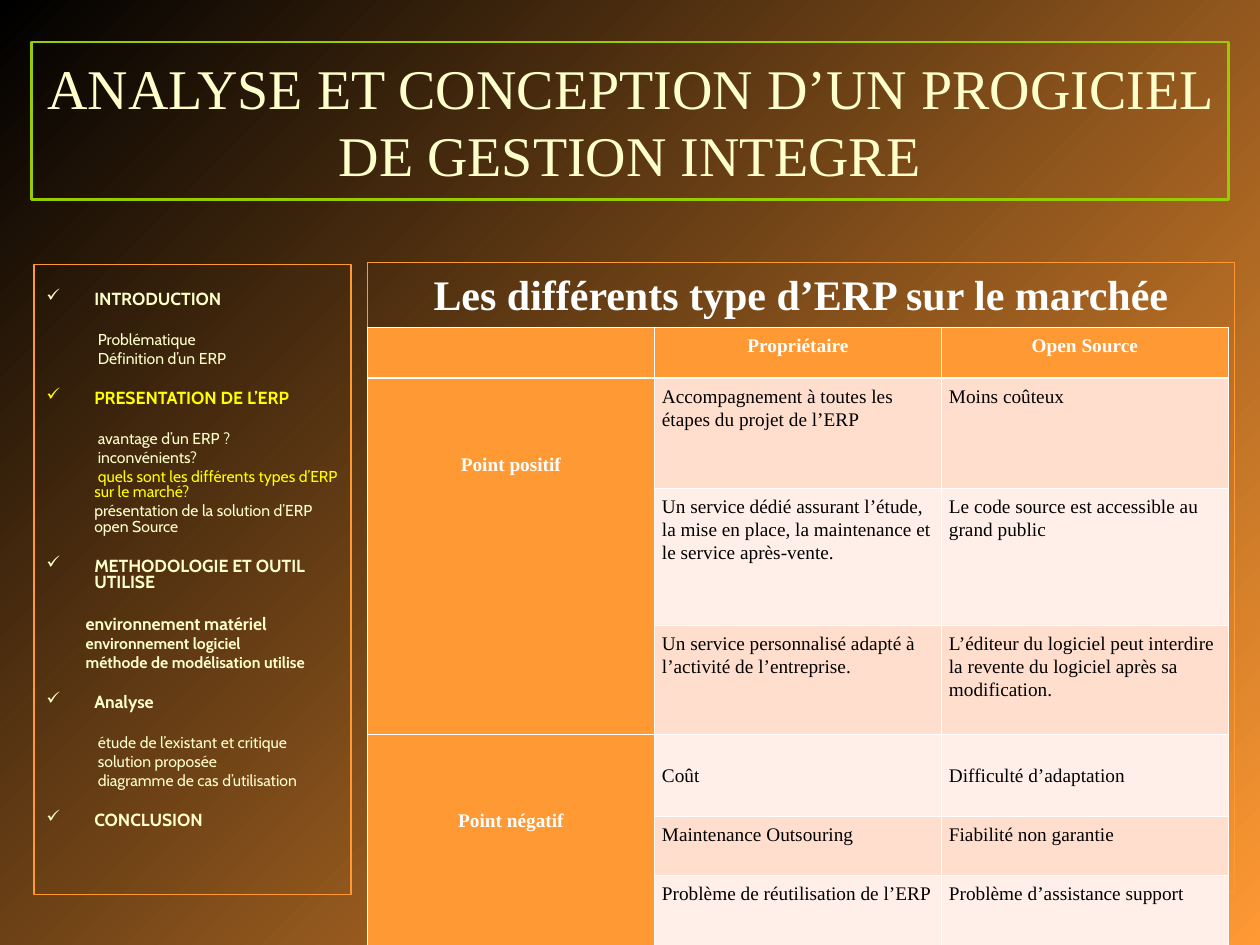
from lxml import etree
from pptx import Presentation
from pptx.dml.color import RGBColor
from pptx.enum.text import MSO_ANCHOR, MSO_AUTO_SIZE, PP_ALIGN
from pptx.oxml.ns import qn
from pptx.util import Pt

CENTER, LEFT = PP_ALIGN.CENTER, PP_ALIGN.LEFT
TOP, MIDDLE = MSO_ANCHOR.TOP, MSO_ANCHOR.MIDDLE
SERIF, SANS = "Times New Roman", "Cabin"
ORANGE, GREEN, CREAM = "FF9933", "99CC00", "FFFFCC"
YELLOW, WHITE, BLACK = "FFFF00", "FFFFFF", "000000"
BANDS = ("FFDECD", "FFEFE8")

TITLE = "ANALYSE ET CONCEPTION D’UN PROGICIEL DE GESTION INTEGRE"
HEADING = "Les différents type d’ERP sur le marchée"

# Outline entries: heading, heading colour, sub-items as (text, format)
HANG = 27.4
ITEM = {"size": 9, "first": 2}
TOOL = {"size": 9, "bold": True, "indent": 22.5}
OUTLINE = [
    ("INTRODUCTION", CREAM, [
        ("Problématique", ITEM),
        ("Définition d’un ERP", ITEM)]),
    ("PRESENTATION DE L’ERP", YELLOW, [
        ("avantage d’un ERP ?", ITEM),
        ("inconvénients?", ITEM),
        ("quels sont les différents types d’ERP sur le marché?",
         {**ITEM, "color": YELLOW}),
        ("présentation de la solution d’ERP open Source", {"size": 9})]),
    ("METHODOLOGIE ET OUTIL UTILISE", CREAM, [
        ("environnement matériel", {**TOOL, "size": 10}),
        ("environnement logiciel", TOOL),
        ("méthode de modélisation utilise", TOOL)]),
    ("Analyse", CREAM, [
        ("étude de l’existant et critique", ITEM),
        ("solution proposée", ITEM),
        ("diagramme de cas d’utilisation", ITEM)]),
    ("CONCLUSION", CREAM, []),
]

COLUMNS = ("Propriétaire", "Open Source")
GROUPS = [
    ("Point positif", [
        ("Accompagnement à toutes les étapes du projet de l’ERP",
         "Moins coûteux"),
        ("Un service dédié assurant l’étude, la mise en place, "
         "la maintenance et le service après-vente.",
         "Le code source est accessible au grand public"),
        ("Un service personnalisé adapté à l’activité de l’entreprise.",
         "L’éditeur du logiciel peut interdire la revente du logiciel "
         "après sa modification.")]),
    ("Point négatif", [
        ("Coût", "Difficulté d’adaptation"),
        ("Maintenance Outsouring", "Fiabilité non garantie"),
        ("Problème de réutilisation de l’ERP",
         "Problème d’assistance support")]),
]
ROW_HEIGHTS = (20, 62.8, 78.4, 62.4, 46.8, 33.6, 46.8)
COLUMN_WIDTH = 164
LINE = 13  # one line of table text
LOWERED = {"Point positif": 3, "Point négatif": 3,
           "Coût": 1, "Difficulté d’adaptation": 1}  # lines below cell top


def rgb(value):
    return RGBColor.from_string(value)


def add_text(frame, text, size, color, font=SERIF, bold=False, align=LEFT,
             before=0, spacing=1.0, indent=0, first=0, bullet=None):
    """Fill the empty first paragraph of the frame, or append a new one."""
    para = frame.paragraphs[0]
    if para.runs:
        para = frame.add_paragraph()
    para.alignment = align
    para.space_before = Pt(before)
    para.line_spacing = spacing
    props = para._p.get_or_add_pPr()
    props.set("marL", str(Pt(indent)))
    props.set("indent", str(Pt(first)))
    if bullet:
        etree.SubElement(props, qn("a:buChar")).set("char", bullet)
    else:
        etree.SubElement(props, qn("a:buNone"))
    span = para.add_run()
    span.text = text
    span.font.name = font
    span.font.size = Pt(size)
    span.font.bold = bold
    span.font.color.rgb = rgb(color)


def set_frame(box, left, top, width, height, color, weight, anchor=TOP):
    """Place and outline a text shape; return its text frame."""
    box.left, box.top = Pt(left), Pt(top)
    box.width, box.height = Pt(width), Pt(height)
    box.line.color.rgb = rgb(color)
    box.line.width = Pt(weight)
    frame = box.text_frame
    frame.word_wrap = True
    frame.auto_size = MSO_AUTO_SIZE.NONE
    frame.vertical_anchor = anchor
    return frame


def set_borders(cell, **weights):
    props = cell._tc.get_or_add_tcPr()
    for index, side in enumerate("LRTB"):
        line = etree.Element(qn("a:ln" + side))
        line.set("w", str(Pt(weights.get(side, 0.45))))
        fill = etree.SubElement(line, qn("a:solidFill"))
        etree.SubElement(fill, qn("a:srgbClr")).set("val", WHITE)
        props.insert(index, line)


def fill_cell(cell, text, fill, color=BLACK, bold=False, align=LEFT):
    cell.fill.solid()
    cell.fill.fore_color.rgb = rgb(fill)
    cell.margin_left = cell.margin_right = Pt(4.3)
    cell.margin_top = Pt(3.6 + LINE * LOWERED.get(text, 0))
    cell.margin_bottom = Pt(3.6)
    if text:
        add_text(cell.text_frame, text, 11, color, bold=bold, align=align,
                 spacing=1.07)


def add_outline(page):
    box = page.shapes.add_textbox(0, 0, 0, 0)
    frame = set_frame(box, 19.4, 151.2, 181.4, 360, ORANGE, 1)
    frame.margin_top = Pt(15.8)
    for number, (heading, color, items) in enumerate(OUTLINE):
        add_text(frame, heading, 10, color, SANS, bold=True, spacing=0.8,
                 before=13.4 if number else 2.5,
                 indent=HANG, first=-HANG, bullet="✓")
        for position, (text, style) in enumerate(items):
            look = {"color": CREAM, "indent": HANG, **style}
            add_text(frame, text, font=SANS, spacing=0.8,
                     before=2.2 if position else 14, **look)


def add_comparison(page):
    table = page.shapes.add_table(
        len(ROW_HEIGHTS), 3, Pt(210), Pt(187), Pt(3 * COLUMN_WIDTH),
        Pt(sum(ROW_HEIGHTS))).table
    for column in table.columns:
        column.width = Pt(COLUMN_WIDTH)
    for row, height in zip(table.rows, ROW_HEIGHTS):
        row.height = Pt(height)

    label = {"fill": ORANGE, "color": WHITE, "bold": True, "align": CENTER}
    for column, text in enumerate(("",) + COLUMNS):
        fill_cell(table.cell(0, column), text, **label)
    row = 1
    for name, points in GROUPS:
        last = row + len(points) - 1
        table.cell(row, 0).merge(table.cell(last, 0))
        fill_cell(table.cell(row, 0), name, **label)
        for pair in points:
            for column, text in enumerate(pair, start=1):
                fill_cell(table.cell(row, column), text, BANDS[(row - 1) % 2])
            row += 1

    heavy = ({"B": 1.47}, {"T": 1.47})  # rule under the header
    for index in range(len(ROW_HEIGHTS)):
        for column in range(3):
            set_borders(table.cell(index, column),
                        **(heavy[index] if index < 2 else {}))


def main():
    deck = Presentation()
    deck.slide_width, deck.slide_height = Pt(720), Pt(540)
    page = deck.slides.add_slide(deck.slide_layouts[1])

    backdrop = page.background.fill
    backdrop.gradient()
    backdrop.gradient_angle = 315
    for stop, color in zip(backdrop.gradient_stops, (BLACK, ORANGE)):
        stop.color.rgb = rgb(color)

    title, body = page.placeholders
    frame = set_frame(title, 18, 24, 684, 90, GREEN, 1.5, MIDDLE)
    add_text(frame, TITLE, 32, CREAM, align=CENTER)
    frame = set_frame(body, 210, 150, 495.4, 360, ORANGE, 1)
    add_text(frame, HEADING, 24, WHITE, bold=True, align=CENTER, before=6)

    add_outline(page)
    add_comparison(page)
    deck.save("out.pptx")


if __name__ == "__main__":
    main()
